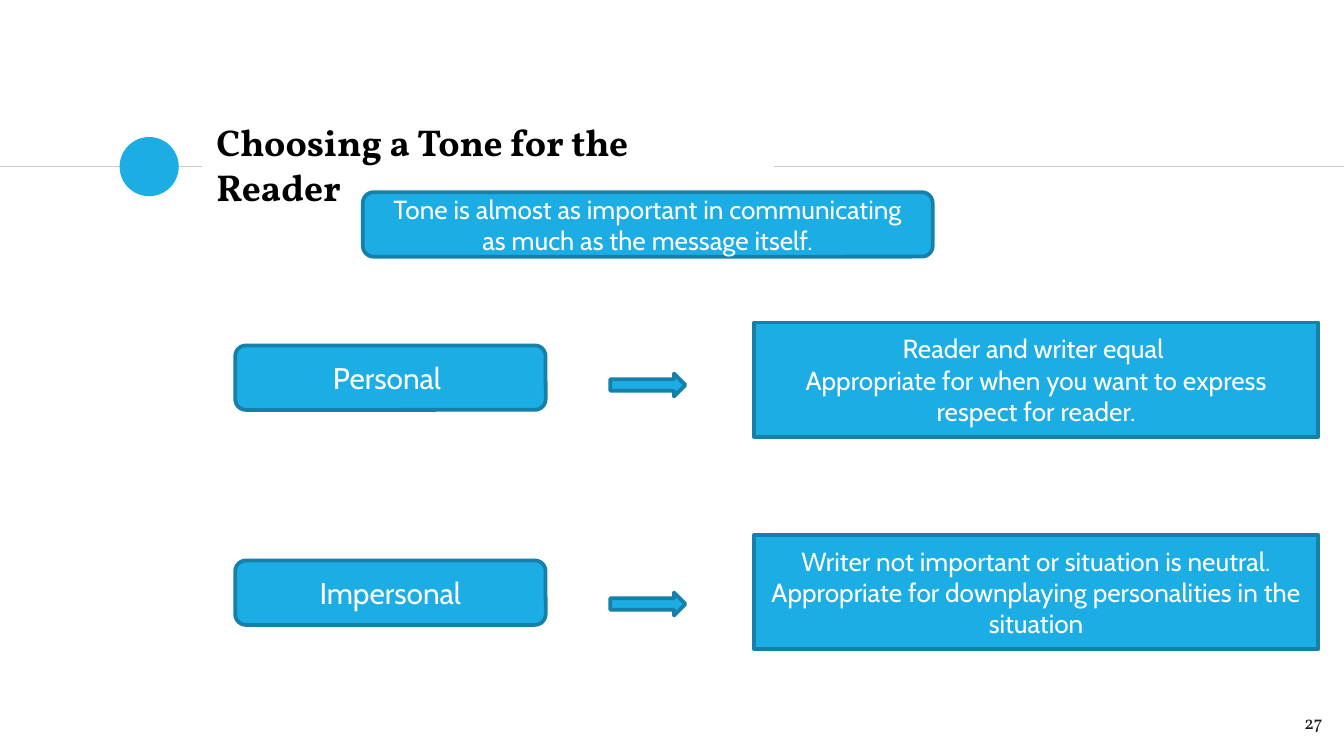
from pptx import Presentation
from pptx.dml.color import RGBColor
from pptx.enum.shapes import MSO_CONNECTOR, MSO_SHAPE
from pptx.enum.text import MSO_ANCHOR, MSO_AUTO_SIZE, PP_ALIGN
from pptx.oxml.ns import qn
from pptx.util import Inches, Pt
from lxml import etree

OVAL, RECT = MSO_SHAPE.OVAL, MSO_SHAPE.RECTANGLE
ROUND, ARROW = MSO_SHAPE.ROUNDED_RECTANGLE, MSO_SHAPE.RIGHT_ARROW
LINE = MSO_CONNECTOR.STRAIGHT
LEFT, MID, RIGHT = PP_ALIGN.LEFT, PP_ALIGN.CENTER, PP_ALIGN.RIGHT
TOP, CENTRE = MSO_ANCHOR.TOP, MSO_ANCHOR.MIDDLE
FIXED = MSO_AUTO_SIZE.NONE

# Content
TITLE = "Choosing a Tone for the Reader"
LEAD = "Tone is almost as important in communicating as much as the message itself."
PAGE = "27"
# Each row: tone, notes, then the tops of label, arrow and notes box
ROWS = [
    ("Personal ",
     ["Reader and writer equal ",
      "Appropriate for when you want to express respect for reader."],
     (2.57, 2.78, 2.4)),
    ("Impersonal",
     ["Writer not important or situation is neutral.",
      "Appropriate for downplaying personalities in the situation"],
     (4.17, 4.41, 3.98)),
]
RULE_Y = 1.24
RULES = [(0, 1.5), (5.76, 10)]

THEME = {
    "fill": "1CADE4", "edge": "1580A9", "rule": "CCCCCC",
    "head": "000000", "body": "FFFFFF", "page": "1D1D1B",
    "serif": "Vollkorn", "sans": "Cabin",
    "title_size": 20, "label_size": 16, "text_size": 14, "page_size": 10,
}


def tint(name):
    return RGBColor.from_string(THEME[name])


def write(shape, lines, size, color="body", face="sans", align=MID,
          anchor=CENTRE, bold=False, pad=0.05):
    frame = shape.text_frame
    frame.word_wrap = True
    frame.auto_size = FIXED
    frame.vertical_anchor = anchor
    frame.margin_left = frame.margin_right = Inches(0.1)
    frame.margin_top = frame.margin_bottom = Inches(pad)
    for i, line in enumerate(lines):
        para = frame.add_paragraph() if i else frame.paragraphs[0]
        para.alignment = align
        run = para.add_run()
        run.text = line
        font = run.font
        font.name, font.size, font.bold = THEME[face], Pt(THEME[size]), bold
        font.color.rgb = tint(color)


def draw(kind, *box, edge=True):
    shape = slide.shapes.add_shape(kind, *map(Inches, box))
    shape.shadow.inherit = False
    shape.fill.solid()
    shape.fill.fore_color.rgb = tint("fill")
    if edge:
        shape.line.color.rgb = tint("edge")
        shape.line.width = Pt(2)
    else:
        shape.line.fill.background()
    return shape


deck = Presentation()
deck.slide_width, deck.slide_height = Inches(10), Inches(10 * 9 / 16)
slide = deck.slides.add_slide(deck.slide_layouts[5])

# Rules and dot beside the title
for start, end in RULES:
    rule = slide.shapes.add_connector(
        LINE, *map(Inches, (start, RULE_Y, end, RULE_Y)))
    rule.line.color.rgb = tint("rule")
    rule.line.width = Pt(0.75)
    etree.SubElement(rule.element.find(qn("p:spPr")), qn("a:effectLst"))
draw(OVAL, 0.89, RULE_Y - 0.22, 0.44, 0.44, edge=False)

# Title and page number
title = slide.shapes.title
title.left, title.top, title.width, title.height = map(
    Inches, (1.51, 0.98, 4.24, 0.48))
write(title, [TITLE], "title_size", "head", "serif", LEFT, bold=True, pad=0.1)
page = slide.shapes.add_textbox(*map(Inches, (9.34, 5.19, 0.6, 0.43)))
write(page, [PAGE], "page_size", "page", "serif", RIGHT, TOP, pad=0.1)

# Lead statement
write(draw(ROUND, 2.7, 1.43, 4.24, 0.48), [LEAD], "text_size")

# Tone, arrow, notes
for tone, notes, (label_y, arrow_y, note_y) in ROWS:
    write(draw(ROUND, 1.75, label_y, 2.31, 0.48), [tone], "label_size")
    draw(ARROW, 4.54, arrow_y, 0.56, 0.17)
    write(draw(RECT, 5.61, note_y, 4.2, 0.85), notes, "text_size")

deck.save("out.pptx")
